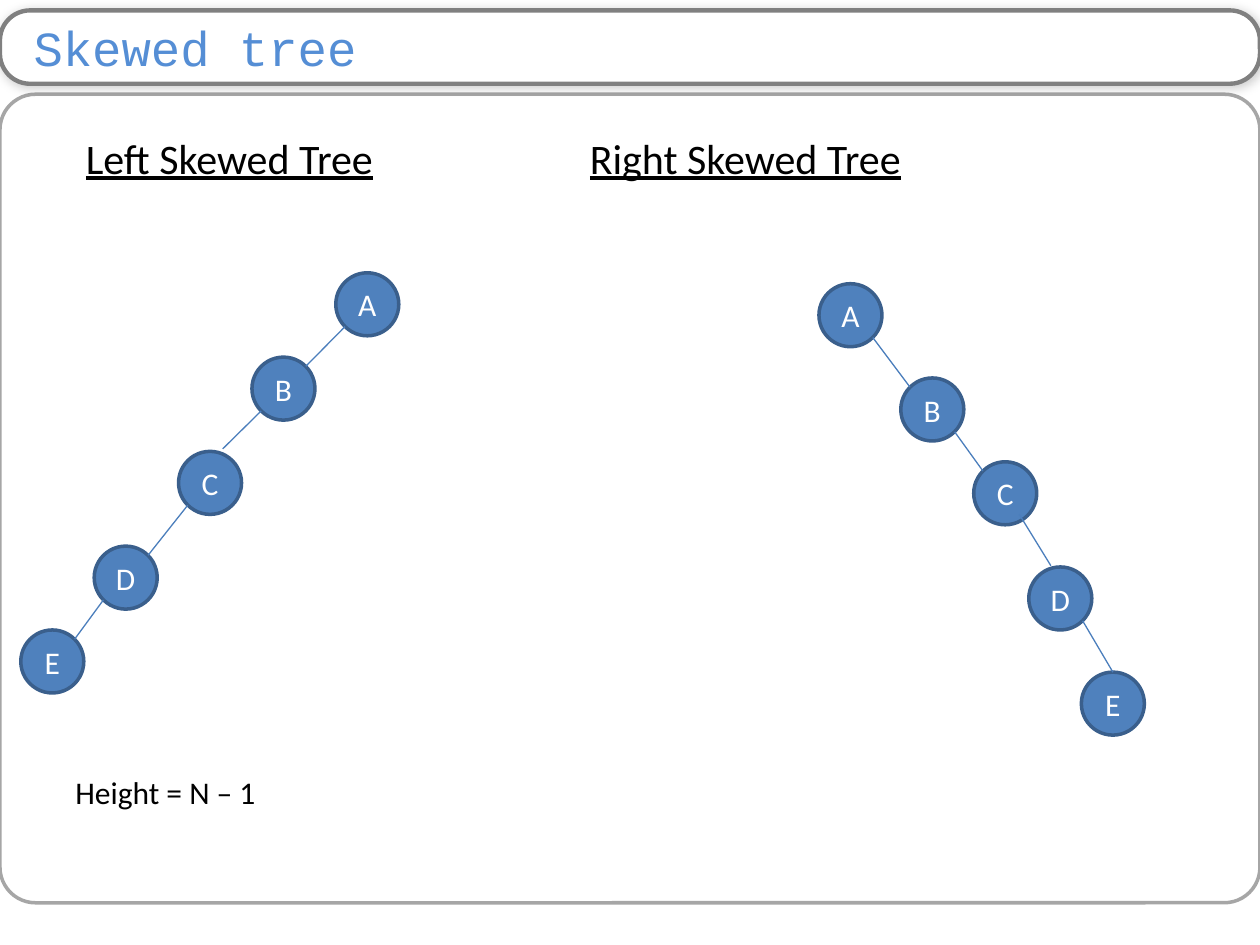
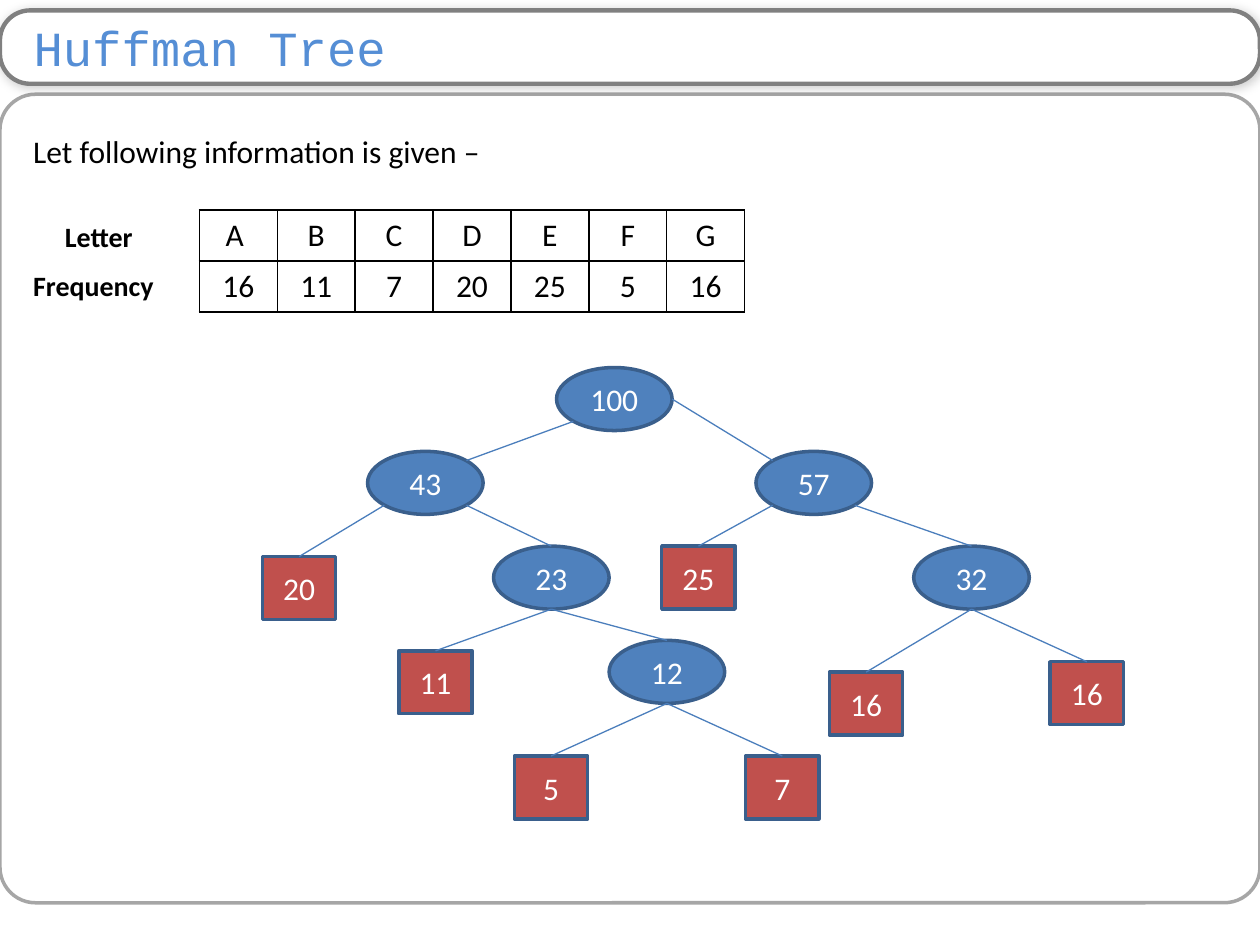
from itertools import pairwise

from lxml.etree import SubElement
from pptx import Presentation
from pptx.dml.color import RGBColor
from pptx.enum.shapes import MSO_CONNECTOR, MSO_SHAPE
from pptx.enum.text import MSO_ANCHOR, PP_ALIGN
from pptx.oxml.ns import qn
from pptx.util import Cm, Pt

COLOURS = {
    "white": "FFFFFF",
    "black": "000000",
    "frame": "A6A6A6",
    "band": "808080",
    "title": "558ED5",
    "node": "4F81BD",
    "leaf": "C0504D",
    "outline": "3A5F8C",
    "link": "4B7EBC",
}
TOP, BOTTOM, RIGHT = (0, -1), (0, 1), (1, 0)
UPPER_LEFT, UPPER_RIGHT = (-0.71, -0.71), (0.71, -0.71)
LOWER_LEFT, LOWER_RIGHT = (-0.71, 0.71), (0.71, 0.71)


def colour(name):
    """Return the named colour."""
    return RGBColor.from_string(COLOURS[name])


def site(shape, direction):
    """Return the point of a shape that lies in a direction from its centre."""
    across, down = direction
    return (
        round(shape.left + shape.width * (1 + across) / 2),
        round(shape.top + shape.height * (1 + down) / 2),
    )


class TreeDeck:
    """Hold the deck's style and the current slide."""

    def __init__(self):
        """Start an empty deck."""
        self.deck = Presentation()
        self.deck.slide_width, self.deck.slide_height = Cm(25.4), Cm(19.05)
        self.page = None

    def add_page(self, title):
        """Add a slide with the content frame and the title band."""
        self.page = self.deck.slides.add_slide(self.deck.slide_layouts[6])
        rounded = MSO_SHAPE.ROUNDED_RECTANGLE
        frame = self.shape(rounded, (0, 1.9, 25.4, 16.3), None, "frame", 2)
        frame.adjustments[0] = 0.044
        band = self.shape(rounded, (0, 0.21, 25.4, 1.48), "white", "band", 2.5)
        band.adjustments[0] = 0.409
        self.cast_shadow(band)
        text = band.text_frame
        text.vertical_anchor = MSO_ANCHOR.MIDDLE
        text.margin_left, text.margin_right = Cm(0.5), Cm(0.25)
        text.margin_top = text.margin_bottom = 0
        para = text.paragraphs[0]
        para.alignment = PP_ALIGN.LEFT
        self.span(para, title, 28, "title", font="Courier New")

    def shape(self, kind, place, fill, line, weight):
        """Add a preset shape with an outline and an optional fill."""
        shape = self.page.shapes.add_shape(kind, *map(Cm, place))
        shape.shadow.inherit = False
        if fill:
            shape.fill.solid()
            shape.fill.fore_color.rgb = colour(fill)
        else:
            shape.fill.background()
        shape.line.color.rgb = colour(line)
        shape.line.width = Pt(weight)
        return shape

    def cast_shadow(self, shape):
        """Give a shape a soft shadow."""
        effects = shape._element.spPr.find(qn("a:effectLst"))
        shadow = SubElement(effects, qn("a:outerShdw"), blurRad=str(Pt(6)),
                            dist=str(Pt(1)), dir="2700000", rotWithShape="0")
        tint = SubElement(shadow, qn("a:srgbClr"), val=COLOURS["black"])
        SubElement(tint, qn("a:alpha"), val="20000")

    def span(self, para, text, size=18, ink="black", bold=False,
             underline=False, font="Calibri"):
        """Add one run of text to a paragraph."""
        span = para.add_run()
        span.text = text
        span.font.name, span.font.size = font, Pt(size)
        span.font.bold, span.font.underline = bold, underline
        span.font.color.rgb = colour(ink)

    def text(self, place, spans, wrap=True):
        """Add a text box from runs and their settings."""
        box = self.page.shapes.add_textbox(*map(Cm, place))
        box.text_frame.word_wrap = wrap
        for words, settings in spans:
            self.span(box.text_frame.paragraphs[0], words, **settings)

    def node(self, label, left, top, width=1.27, leaf=False):
        """Add a tree node, a rectangle for a leaf and an oval otherwise."""
        kind = MSO_SHAPE.RECTANGLE if leaf else MSO_SHAPE.OVAL
        fill = "leaf" if leaf else "node"
        node = self.shape(kind, (left, top, width, 1.27), fill, "outline", 2)
        node.text_frame.vertical_anchor = MSO_ANCHOR.MIDDLE
        para = node.text_frame.paragraphs[0]
        para.alignment = PP_ALIGN.CENTER
        self.span(para, label, ink="white")
        return node

    def link(self, parent, departure, child, arrival=TOP):
        """Draw a line from a parent node to its child."""
        line = self.page.shapes.add_connector(
            MSO_CONNECTOR.STRAIGHT, *site(parent, departure), *site(child, arrival))
        if child.auto_shape_type == MSO_SHAPE.RECTANGLE:
            line.end_connect(child, 0)
        line.line.color.rgb = colour("link")
        line.line.width = Pt(0.75)
        SubElement(line._element.spPr, qn("a:effectLst"))

    def chain(self, places, directions):
        """Draw lettered nodes, each linked to the next one."""
        nodes = [self.node(letter, *place) for letter, place in zip("ABCDE", places)]
        for (parent, child), (departure, arrival) in zip(pairwise(nodes), directions):
            self.link(parent, departure, child, arrival)

    def table(self, left, top, column, row, rows):
        """Add a plain ruled table of centred cells."""
        count = len(rows[0])
        table = self.page.shapes.add_table(
            len(rows), count, Cm(left), Cm(top),
            Cm(column * count), Cm(row * len(rows))).table
        table.first_row = table.horz_banding = False
        for cell, words in zip(table.iter_cells(), sum(rows, [])):
            properties = cell._tc.get_or_add_tcPr()
            for side in ("lnL", "lnR", "lnT", "lnB"):
                border = SubElement(properties, qn(f"a:{side}"), w=str(Pt(1)))
                paint = SubElement(border, qn("a:solidFill"))
                SubElement(paint, qn("a:srgbClr"), val=COLOURS["black"])
            cell.fill.background()
            para = cell.text_frame.paragraphs[0]
            para.alignment = PP_ALIGN.CENTER
            self.span(para, words)


def skewed_page(style):
    """Build the slide on skewed trees."""
    style.add_page("Skewed tree")
    heading = {"size": 24, "underline": True}
    style.text((1.48, 2.54, 23.92, 1.27), [
        ("Left Skewed Tree", heading),
        ("\t\t\t\t", {"size": 24}),
        ("Right Skewed Tree", heading),
    ])
    leftward = (LOWER_LEFT, UPPER_RIGHT)
    style.chain(
        [(6.77, 5.5), (5.08, 7.2), (3.6, 9.1), (1.9, 11.01), (0.42, 12.7)],
        [leftward, (LOWER_LEFT, (0.4, -1.08)), leftward, leftward])
    rightward = (LOWER_RIGHT, UPPER_LEFT)
    style.chain(
        [(16.51, 5.72), (18.16, 7.62), (19.63, 9.31), (20.74, 11.43), (21.8, 13.55)],
        [rightward, rightward, ((0.44, 0.66), (-0.3, -1.04)), (LOWER_RIGHT, TOP)])
    style.text((1.27, 15.45, 17.98, 1.02), [("Height = N – 1", {})])


def huffman_page(style):
    """Build the slide on the Huffman tree."""
    style.add_page("Huffman Tree")
    style.text((0.42, 2.54, 24.55, 2.57),
               [("Let following information is given –", {})])
    frequencies = dict(zip("ABCDEFG", ["16", "11", "7", "20", "25", "5", "16"]))
    letters = ["A ", *"BCDEFG"]
    style.table(4.02, 4.23, 1.57, 1.03, [letters, list(frequencies.values())])
    sums = {
        "100": (11.22, 7.41), "57": (15.24, 9.1), "43": (7.41, 9.1),
        "23": (9.95, 11.01), "12": (12.28, 12.91), "32": (18.42, 11.01),
    }
    leaves = {
        "D": (5.29, 11.22), "B": (8.04, 13.12), "F": (10.37, 15.24),
        "C": (15.03, 15.24), "A": (16.72, 13.55), "G": (21.17, 13.34),
        "E": (13.34, 11.01),
    }
    nodes = {total: style.node(total, *place, 2.33) for total, place in sums.items()}
    for letter, place in leaves.items():
        nodes[letter] = style.node(frequencies[letter], *place, 1.48, leaf=True)
    style.link(nodes["100"], LOWER_LEFT, nodes["43"], UPPER_RIGHT)
    style.link(nodes["100"], RIGHT, nodes["57"], UPPER_LEFT)
    for parent, left, right in (("43", "D", "23"), ("57", "E", "32")):
        style.link(nodes[parent], LOWER_LEFT, nodes[left])
        style.link(nodes[parent], LOWER_RIGHT, nodes[right])
    for parent, *children in (("23", "B", "12"), ("32", "A", "G"), ("12", "F", "C")):
        for child in children:
            style.link(nodes[parent], BOTTOM, nodes[child])
    label = {"size": 16, "bold": True}
    style.text((1.06, 4.23, 2.03, 1.02),
               [("Letter", label), (" ", {"bold": True})], wrap=False)
    style.text((0.42, 5.29, 3.1, 0.94), [("Frequency", label)], wrap=False)


def main():
    """Build and save the deck."""
    style = TreeDeck()
    skewed_page(style)
    huffman_page(style)
    style.deck.save("out.pptx")


if __name__ == "__main__":
    main()
